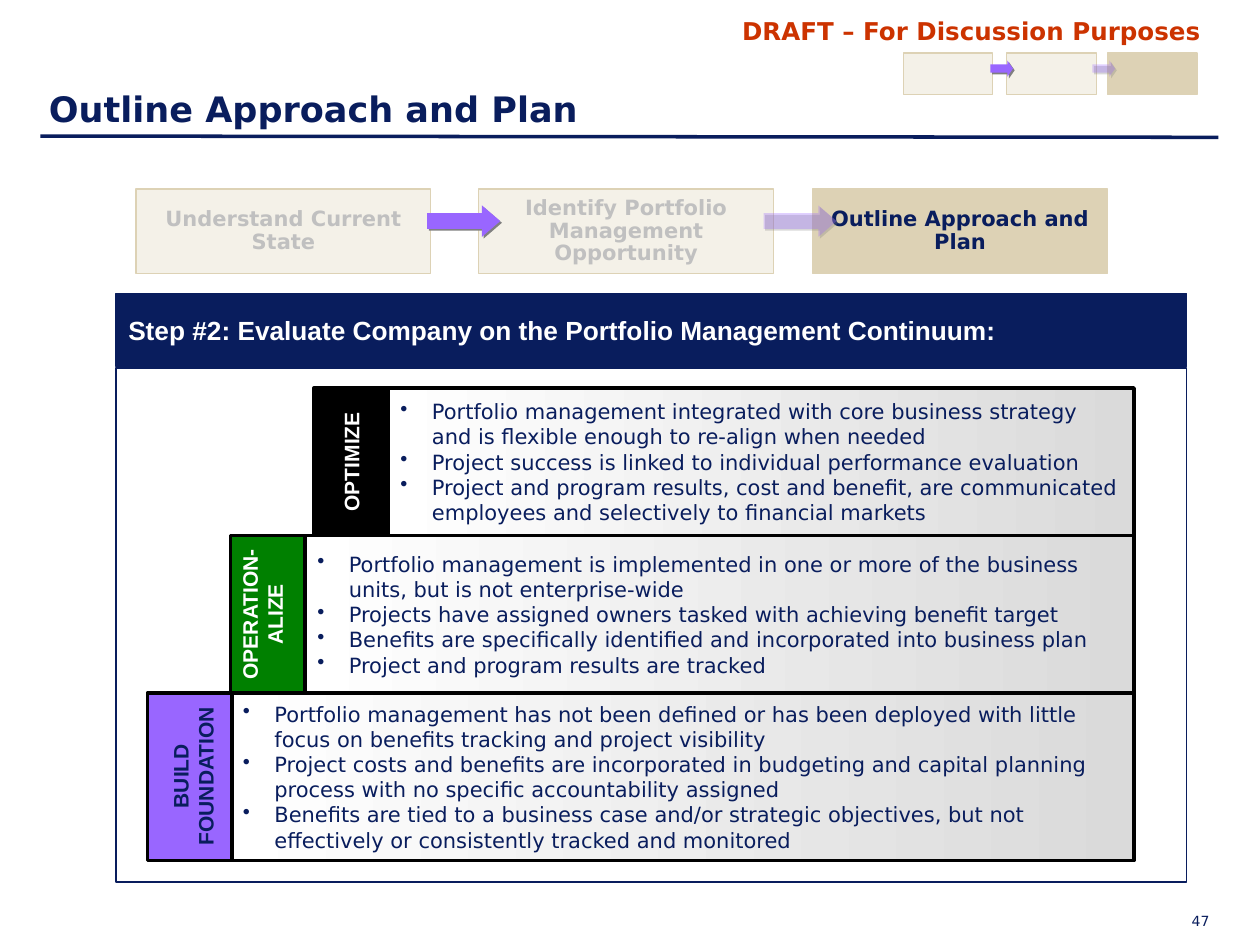
from lxml import etree
from pptx import Presentation
from pptx.dml.color import RGBColor
from pptx.enum.shapes import MSO_CONNECTOR, MSO_SHAPE
from pptx.enum.text import MSO_ANCHOR, PP_ALIGN
from pptx.oxml.ns import qn
from pptx.util import Inches, Pt

RECT, ARROW = MSO_SHAPE.RECTANGLE, MSO_SHAPE.RIGHT_ARROW
STRAIGHT = MSO_CONNECTOR.STRAIGHT
TOP, MIDDLE, BOTTOM = MSO_ANCHOR.TOP, MSO_ANCHOR.MIDDLE, MSO_ANCHOR.BOTTOM
LEFT, CENTER, RIGHT = PP_ALIGN.LEFT, PP_ALIGN.CENTER, PP_ALIGN.RIGHT

COLORS = {
    "navy": "091D5D", "red": "CC3300", "black": "000000", "white": "FFFFFF",
    "green": "008000", "purple": "9966FF", "sand": "DDD2B5",
    "muted": "C0C0C0", "grey": "DADADA", "shadow": "808080",
}
BODY, LABEL = "DejaVu Sans", "Arial"
FADED = 30

STEPS = [
    (1.08, 7.17, "Understand Current State"),
    (3.8, 7.99, "Identify Portfolio Management Opportunity"),
    (6.45, 8.79, "Outline Approach and Plan"),
]
LEVELS = [
    (3.08, 3.08, 1.17, [
        "Portfolio management integrated with core business strategy and is "
        "flexible enough to re-align when needed",
        "Project success is linked to individual performance evaluation",
        "Project and program results, cost and benefit, are communicated "
        "employees and selectively to financial markets",
    ]),
    (2.42, 4.25, 1.25, [
        "Portfolio management is implemented in one or more of the business "
        "units, but is not enterprise-wide",
        "Projects have assigned owners tasked with achieving benefit target",
        "Benefits are specifically identified and incorporated into business plan",
        "Project and program results are tracked",
    ]),
    (1.83, 5.5, 1.33, [
        "Portfolio management has not been defined or has been deployed with "
        "little focus on benefits tracking and project visibility",
        "Project costs and benefits are incorporated in budgeting and capital "
        "planning process with no specific accountability assigned",
        "Benefits are tied to a business case and/or strategic objectives, but "
        "not effectively or consistently tracked and monitored",
    ]),
]
LEVEL_RIGHT = 9.0


def rgb(name):
    return RGBColor.from_string(COLORS[name])


def set_text(shape, lines, size, color, font=BODY, bold=False, align=LEFT,
             anchor=MIDDLE, inset=(0.1, 0.05), bullets=False, spacing=None):
    frame = shape.text_frame
    frame.word_wrap = True
    frame.vertical_anchor = anchor
    frame.margin_left = frame.margin_right = Inches(inset[0])
    frame.margin_top = frame.margin_bottom = Inches(inset[1])
    frame.text = "\n".join(lines)
    for paragraph in frame.paragraphs:
        paragraph.alignment = align
        if spacing:
            paragraph.line_spacing = spacing
        if bullets:
            add_bullet(paragraph, color)
        for run in paragraph.runs:
            run.font.name = font
            run.font.size = Pt(size)
            run.font.bold = bold
            run.font.color.rgb = rgb(color)


def add_bullet(paragraph, color):
    properties = paragraph._p.get_or_add_pPr()
    properties.set("marL", str(Inches(0.25)))
    properties.set("indent", str(Inches(-0.25)))
    bullet_color = etree.SubElement(properties, qn("a:buClr"))
    etree.SubElement(bullet_color, qn("a:srgbClr"), val=COLORS[color])
    etree.SubElement(properties, qn("a:buChar"), char="•")


def add_label(slide, left, top, width, height, text, size, color, **style):
    box = slide.shapes.add_textbox(*map(Inches, (left, top, width, height)))
    set_text(box, [text], size, color, **style)
    return box


def add_box(slide, left, top, width, height, fill=None, line=None,
            weight=0.75, alpha=None, kind=RECT):
    box = slide.shapes.add_shape(kind, *map(Inches, (left, top, width, height)))
    box.shadow.inherit = False
    if fill:
        box.fill.solid()
        box.fill.fore_color.rgb = rgb(fill)
    else:
        box.fill.background()
    if alpha:
        fill_color = box._element.spPr.find(qn("a:solidFill"))[0]
        etree.SubElement(fill_color, qn("a:alpha"), val=str(alpha * 1000))
    if line:
        box.line.color.rgb = rgb(line)
        box.line.width = Pt(weight)
    else:
        box.line.fill.background()
    return box


def add_arrow(slide, left, top, width, height, head, alpha=None):
    arrow = add_box(slide, left, top, width, height, "purple", alpha=alpha, kind=ARROW)
    arrow.adjustments[0], arrow.adjustments[1] = 0.5, head
    effects = arrow._element.spPr.find(qn("a:effectLst"))
    shadow = etree.SubElement(effects, qn("a:outerShdw"), dist=str(Pt(1.4)),
                              dir="2700000", algn="ctr", rotWithShape="0")
    etree.SubElement(shadow, qn("a:srgbClr"), val=COLORS["shadow"])


def add_rule(slide, x1, y1, x2, y2):
    rule = slide.shapes.add_connector(STRAIGHT, *map(Inches, (x1, y1, x2, y2)))
    rule.line.color.rgb = rgb("navy")
    rule.line.width = Pt(2)
    etree.SubElement(rule._element.spPr, qn("a:effectLst"))


def add_level(slide, left, top, height, points):
    level = add_box(slide, left, top, LEVEL_RIGHT - left, height, line="black", weight=2)
    level.fill.gradient()
    level.fill.gradient_angle = 180
    for stop, color in zip(level.fill.gradient_stops, ("grey", "white")):
        stop.color.rgb = rgb(color)
    set_text(level, points, 12, "navy", bullets=True)


def add_tag(slide, level, text, fill, anchor):
    left, top, height, _ = level
    thickness = 0.59
    tag = add_box(slide, left - (thickness + height) / 2,
                  top + (height - thickness) / 2,
                  height, thickness, fill, "black", 2)
    tag.rotation = 270
    set_text(tag, [text], 12, "white", font=LABEL, bold=True, align=CENTER, anchor=anchor)


def add_steps(slide):
    last = len(STEPS) - 1
    for index, (left, _, name) in enumerate(STEPS):
        alpha, color = (None, "navy") if index == last else (FADED, "muted")
        step = add_box(slide, left, 1.5, 2.34, 0.67, "sand", "sand", alpha=alpha)
        set_text(step, [name], 12, color, bold=True, align=CENTER,
                 inset=(0.05, 0.05), spacing=0.9)
    for left, alpha in ((3.39, None), (6.06, FADED)):
        add_arrow(slide, left, 1.63, 0.58, 0.25, 0.58, alpha)
    for index, (_, left, _) in enumerate(STEPS):
        alpha = None if index == last else FADED
        add_box(slide, left, 0.42, 0.71, 0.33, "sand", "sand", alpha=alpha)
    for left, alpha in ((7.86, None), (8.67, FADED)):
        add_arrow(slide, left, 0.48, 0.18, 0.13, 0.35, alpha)


def main():
    deck = Presentation()
    deck.slide_width, deck.slide_height = Inches(10), Inches(7.5)
    slide = deck.slides.add_slide(deck.slide_layouts[6])

    add_label(slide, 8.6, 7.24, 1, 0.15, "47", 8, "navy",
              align=RIGHT, anchor=TOP, inset=(0, 0))
    add_rule(slide, 0.32, 1.08, 9.67, 1.09)
    add_label(slide, 5.67, 0.08, 4.08, 0.34, "DRAFT – For Discussion Purposes",
              14, "red", bold=True, align=CENTER, anchor=TOP)
    add_label(slide, 0.29, 0.25, 9.43, 0.83, "Outline Approach and Plan",
              20, "navy", bold=True, anchor=BOTTOM)

    optimize, operationalize, foundation = LEVELS
    add_tag(slide, optimize, "OPTIMIZE", "black", MIDDLE)
    add_level(slide, *operationalize)
    add_tag(slide, operationalize, "OPERATION-ALIZE", "green", TOP)
    add_level(slide, *foundation)
    add_box(slide, 1.17, 5.5, 0.67, 1.33, "purple", "black", 2)
    foundation_label = add_label(slide, 0.81, 5.91, 1.44, 0.5, "BUILD FOUNDATION",
                                 12, "navy", font=LABEL, bold=True, align=CENTER)
    foundation_label.rotation = 270
    add_level(slide, *optimize)

    add_steps(slide)
    add_box(slide, 0.92, 2.92, 8.5, 4.08, line="navy")
    header = add_box(slide, 0.92, 2.33, 8.5, 0.58, "navy", "navy")
    set_text(header, ["Step #2: Evaluate Company on the Portfolio Management Continuum:"],
             15, "white", font=LABEL, bold=True)
    deck.save("out.pptx")


if __name__ == "__main__":
    main()
